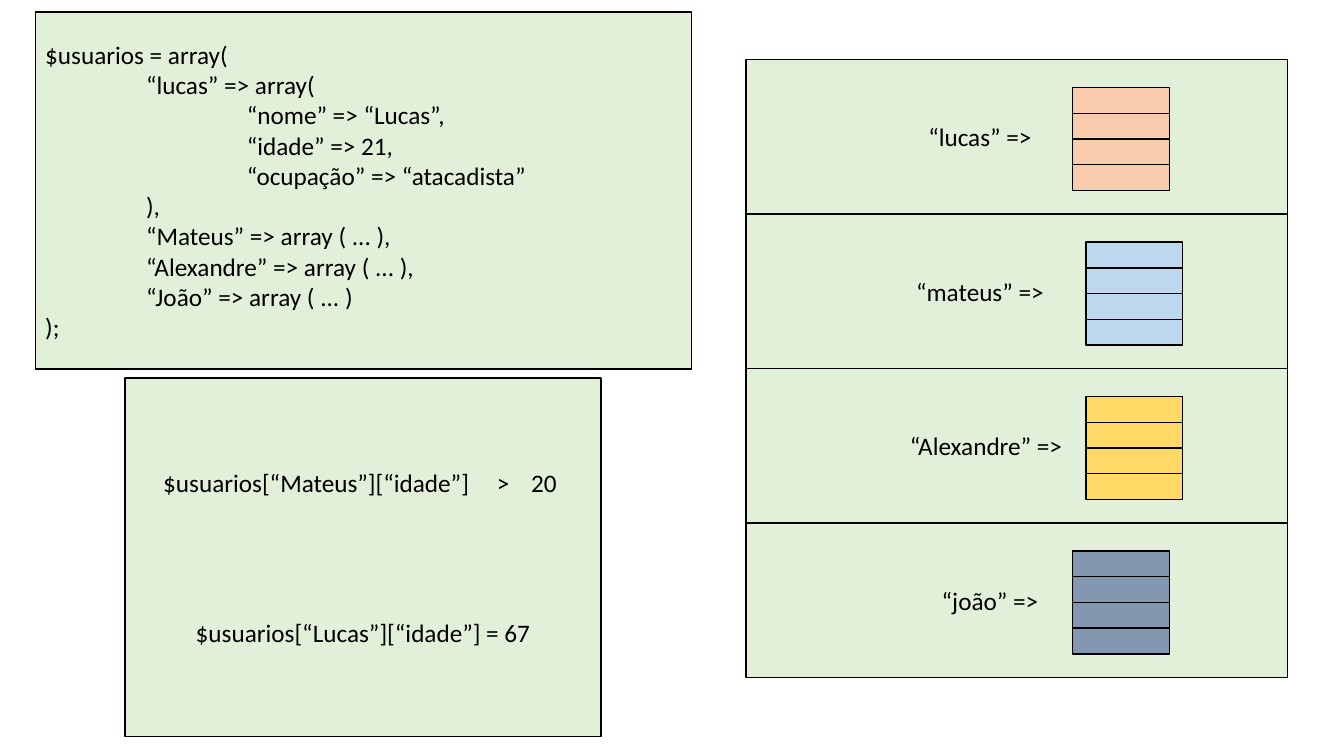
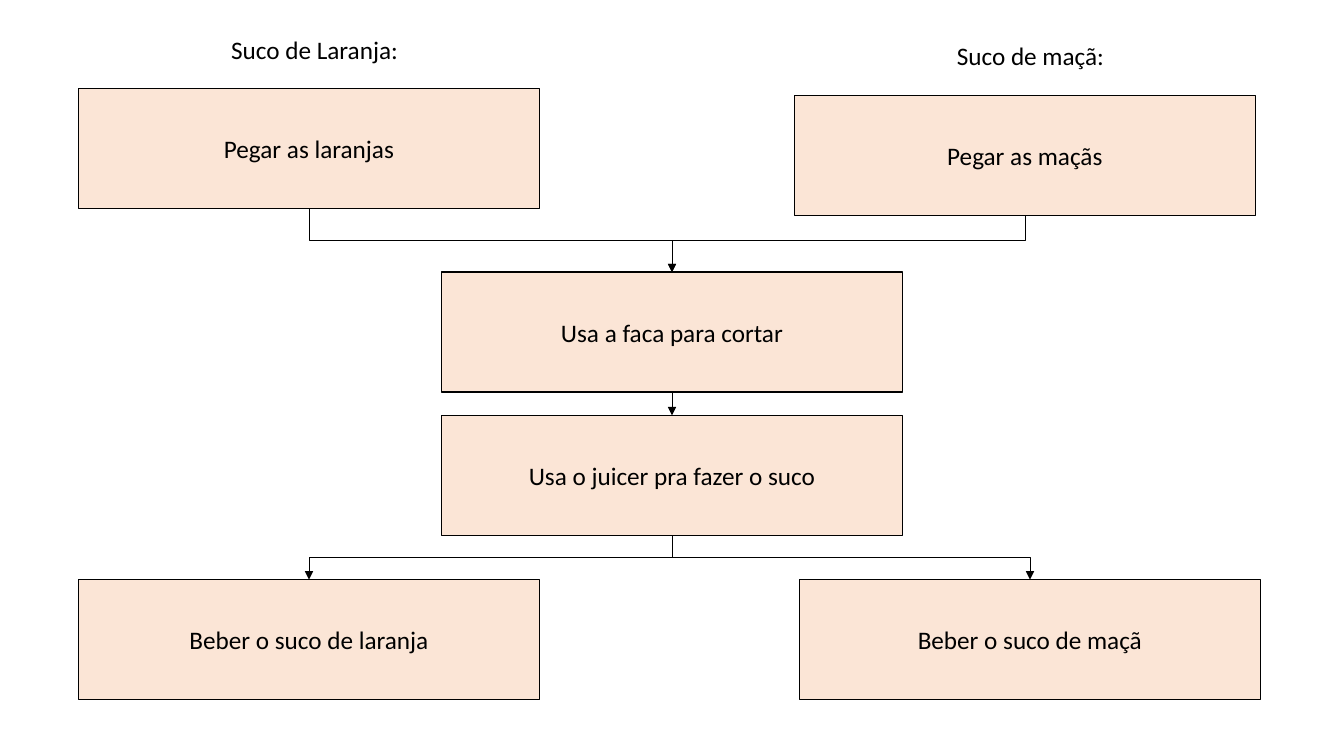
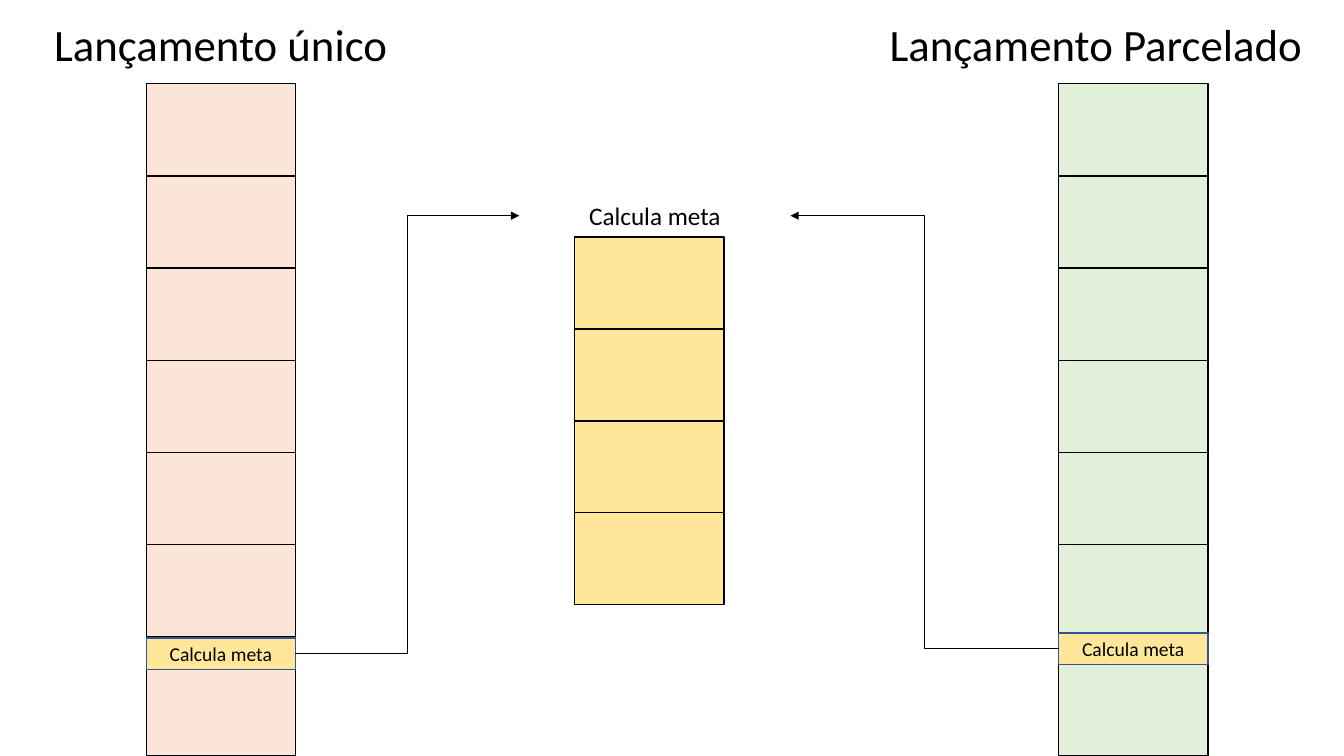
from lxml import etree
from pptx import Presentation
from pptx.dml.color import RGBColor
from pptx.enum.shapes import MSO_CONNECTOR, MSO_SHAPE
from pptx.enum.text import MSO_ANCHOR, PP_ALIGN
from pptx.oxml.ns import qn
from pptx.util import Inches, Pt

FONT = "Calibri"
BLACK = RGBColor(0x00, 0x00, 0x00)
GREEN = RGBColor(0xE2, 0xF0, 0xD9)
PEACH = RGBColor(0xFB, 0xE5, 0xD6)
ORANGE = RGBColor(0xF8, 0xCB, 0xAD)
BLUE = RGBColor(0xBD, 0xD7, 0xEE)
GOLD = RGBColor(0xFF, 0xD9, 0x66)
SLATE = RGBColor(0x84, 0x97, 0xB0)
YELLOW = RGBColor(0xFF, 0xE6, 0x99)
NAVY = RGBColor(0x32, 0x54, 0x91)
TOP, LEFT, BOTTOM, RIGHT = range(4)

CODE = [
    "$usuarios = array(",
    "\t“lucas” => array(",
    "\t\t“nome” => “Lucas”,",
    "\t\t“idade” => 21,",
    "\t\t“ocupação” => “atacadista”",
    "\t),",
    "\t“Mateus” => array ( ... ),",
    "\t“Alexandre” => array ( ... ),",
    "\t“João” => array ( ... )",
    ");",
]
ACCESSES = ["\t$usuarios[“Mateus”][“idade”]\t>\t20", "$usuarios[“Lucas”][“idade”] = 67"]

# label, right inset, left of the inner array, its colour
USERS = [
    ("“lucas” =>", 0.83, 10.64, ORANGE),
    ("“mateus” =>", 0.83, 10.77, BLUE),
    ("“Alexandre” =>", 0.71, 10.77, GOLD),
    ("“joão” =>", 0.63, 10.64, SLATE),
]

# name: text, left, top
STEPS = {
    "oranges": ("Pegar as laranjas", 0.78, 0.88),
    "apples": ("Pegar as maçãs", 7.88, 0.95),
    "cut": ("Usa a faca para cortar", 4.38, 2.7),
    "juice": ("Usa o juicer pra fazer o suco", 4.38, 4.12),
    "drink_orange": ("Beber o suco de laranja", 0.78, 5.75),
    "drink_apple": ("Beber o suco de maçã", 7.93, 5.75),
}
# from, to, position of the bend in percent
FLOWS = [
    ("oranges", "cut", 50),
    ("apples", "cut", 43.5),
    ("juice", "drink_apple", 50),
    ("juice", "drink_orange", 50),
]
JUICES = [("Suco de Laranja:", 0.89, 0.29), ("Suco de maçã:", 7.99, 0.35)]

# heading, its left, column left, colour, top of the call, side it leaves from, side it reaches
LAUNCHES = [
    ("Lançamento único", -0.59, 1.45, PEACH, 6.33, RIGHT, LEFT),
    ("Lançamento Parcelado", 8.09, 10.5, GREEN, 6.28, LEFT, RIGHT),
]
CALL = "Calcula meta"
CELL_WIDTH = 1.48


def write(shape, lines, size=18, align=PP_ALIGN.CENTER):
    frame = shape.text_frame
    frame.word_wrap = True
    frame.text = "\n".join(lines)
    for paragraph in frame.paragraphs:
        paragraph.alignment = align
        paragraph.font.name = FONT
        paragraph.font.size = Pt(size)
        paragraph.font.color.rgb = BLACK


def set_tabs(paragraph, stops):
    tab_list = etree.Element(qn("a:tabLst"))
    for stop in stops:
        etree.SubElement(tab_list, qn("a:tab"), pos=str(Inches(stop)), algn="l")
    properties = paragraph._p.get_or_add_pPr()
    defaults = properties.find(qn("a:defRPr"))
    if defaults is None:
        properties.append(tab_list)
    else:
        defaults.addprevious(tab_list)


def add_box(slide, left, top, width, height, fill, lines=(), size=18,
            align=PP_ALIGN.CENTER, outline=BLACK):
    box = slide.shapes.add_shape(MSO_SHAPE.RECTANGLE, Inches(left), Inches(top),
                                 Inches(width), Inches(height))
    box.shadow.inherit = False
    box.fill.solid()
    box.fill.fore_color.rgb = fill
    box.line.color.rgb = outline
    box.line.width = Pt(1)
    box.text_frame.vertical_anchor = MSO_ANCHOR.MIDDLE
    if lines:
        write(box, lines, size, align)
    return box


def add_stack(slide, left, top, width, height, count, fill):
    """Split an area into equal boxes, one above the other."""
    step = height / count
    return [add_box(slide, left, top + i * step, width, step, fill) for i in range(count)]


def add_label(slide, text, left, top, width, height, size=18):
    label = slide.shapes.add_textbox(Inches(left), Inches(top), Inches(width), Inches(height))
    write(label, [text], size)
    return label


def add_arrow(slide, kind, start, start_side, end, end_side):
    arrow = slide.shapes.add_connector(kind, 0, 0, 0, 0)
    arrow.begin_connect(start, start_side)
    arrow.end_connect(end, end_side)
    arrow.line.color.rgb = BLACK
    arrow.line.width = Pt(0.5)
    etree.SubElement(arrow.line._get_or_add_ln(), qn("a:tailEnd"), type="triangle")
    etree.SubElement(arrow._element.spPr, qn("a:effectLst"))
    return arrow


def add_downward_elbow(slide, start, end, bend):
    """Elbow from a bottom side to a top side: the preset turned by a quarter."""
    arrow = add_arrow(slide, MSO_CONNECTOR.ELBOW, start, BOTTOM, end, TOP)
    across, down = arrow.end_x - arrow.begin_x, arrow.end_y - arrow.begin_y
    center_x = (arrow.begin_x + arrow.end_x) // 2
    center_y = (arrow.begin_y + arrow.end_y) // 2
    arrow.width, arrow.height = down, abs(across)
    arrow.left, arrow.top = center_x - down // 2, center_y - abs(across) // 2
    properties = arrow._element.spPr
    frame = properties.find(qn("a:xfrm"))
    for flip in ("flipH", "flipV"):
        frame.attrib.pop(flip, None)
    frame.set("rot", str((270 if across > 0 else 90) * 60000))
    if across > 0:
        frame.set("flipH", "1")
    geometry = properties.find(qn("a:prstGeom"))
    adjustments = geometry.find(qn("a:avLst"))
    if adjustments is None:
        adjustments = etree.SubElement(geometry, qn("a:avLst"))
    etree.SubElement(adjustments, qn("a:gd"), name="adj1", fmla=f"val {int(bend * 1000)}")


def build_arrays(slide):
    rows = add_stack(slide, 7.4, 0.59, 5.37, 6.13, len(USERS), GREEN)
    for row, (label, inset, left, fill) in zip(rows, USERS):
        write(row, [label])
        row.text_frame.margin_right = Inches(inset)
        add_stack(slide, left, row.top.inches + 0.28, 0.96, 1.02, 4, fill)

    code = add_box(slide, 0.35, 0.12, 6.51, 3.54, GREEN, CODE, align=PP_ALIGN.LEFT)
    for paragraph in code.text_frame.paragraphs:
        set_tabs(paragraph, [1, 2])

    accesses = add_box(slide, 1.24, 3.75, 4.72, 3.56, GREEN, ACCESSES)
    comparison, assignment = accesses.text_frame.paragraphs
    comparison.alignment = PP_ALIGN.LEFT
    set_tabs(comparison, [0.28, 3.59, 3.93])
    assignment.space_before = Pt(86)


def build_juices(slide):
    boxes = {name: add_box(slide, left, top, 4.57, 1.19, PEACH, [text])
             for name, (text, left, top) in STEPS.items()}
    for text, left, top in JUICES:
        add_label(slide, text, left, top, 4.46, 0.4)
    for start, end, bend in FLOWS:
        add_downward_elbow(slide, boxes[start], boxes[end], bend)
    add_arrow(slide, MSO_CONNECTOR.STRAIGHT, boxes["cut"], BOTTOM, boxes["juice"], TOP)


def build_launches(slide):
    add_stack(slide, 5.7, 2.35, CELL_WIDTH, 3.65, 4, YELLOW)
    routine = add_label(slide, CALL, 5.15, 1.94, 2.69, 0.4)
    for heading, heading_left, left, fill, call_top, leaves, reaches in LAUNCHES:
        add_label(slide, heading, heading_left, 0.12, 5.56, 0.64, 32)
        add_stack(slide, left, 0.83, CELL_WIDTH, 5.49, 6, fill)
        add_box(slide, left, 6.59, CELL_WIDTH, 0.91, fill)
        call = add_box(slide, left, call_top, CELL_WIDTH, 0.31, YELLOW, [CALL], 14,
                       outline=NAVY)
        add_arrow(slide, MSO_CONNECTOR.ELBOW, call, leaves, routine, reaches)


def main():
    presentation = Presentation()
    presentation.slide_width = Inches(13.33)
    presentation.slide_height = Inches(7.5)
    blank = presentation.slide_layouts[6]
    for build in (build_arrays, build_juices, build_launches):
        build(presentation.slides.add_slide(blank))
    presentation.save("out.pptx")


if __name__ == "__main__":
    main()
